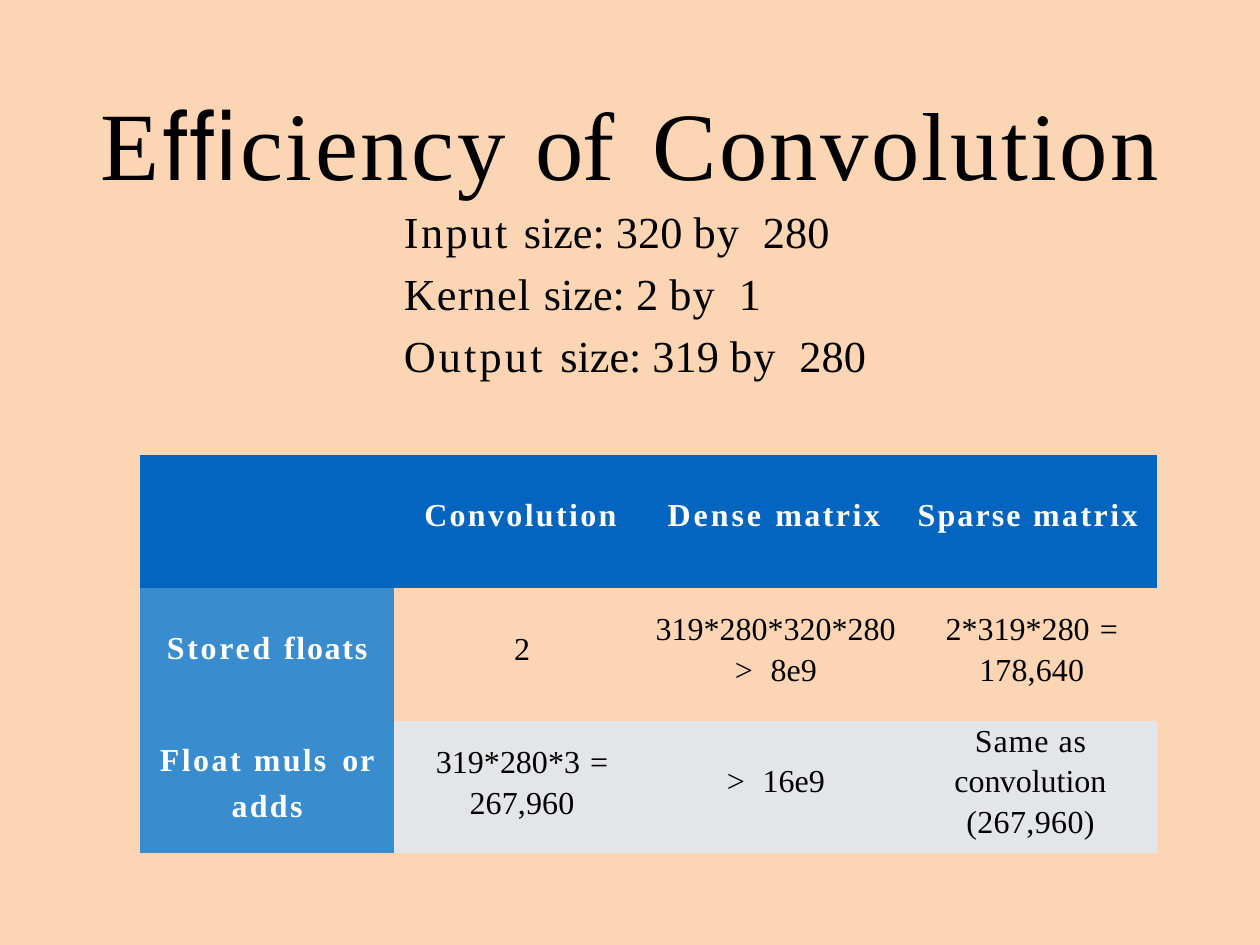
from pptx import Presentation
from pptx.dml.color import RGBColor as RGB
from pptx.enum.text import MSO_ANCHOR as ANCHOR, MSO_AUTO_SIZE as FIT, PP_ALIGN as ALIGN
from pptx.util import Inches, Pt

PEACH = RGB(0xFC, 0xD5, 0xB5)
BLACK = RGB(0, 0, 0)
WHITE = RGB(255, 255, 255)
NAVY = RGB(0x03, 0x65, 0xC0)
BLUE = RGB(0x39, 0x8C, 0xCE)
GREY = RGB(0xE3, 0xE5, 0xE8)
SERIF, SANS = "Times New Roman", "Arial"
NO_GRID = "{2D5ABB26-0587-4C30-8999-92F81FD0307C}"

deck = Presentation()
deck.slide_width, deck.slide_height = Inches(14.22), Inches(10.67)
X, Y = deck.slide_width / 100, deck.slide_height / 100  # one per cent of the slide


def area(left, top, width, height):
    return int(left * X), int(top * Y), int(width * X), int(height * Y)


def write(frame, lines, size, color=BLACK, bold=False, align=ALIGN.LEFT, gap=0, indent=0):
    """Fill a frame; each line is a list of (text, letter spacing[, font]) runs."""
    for i, line in enumerate(lines):
        para = frame.add_paragraph() if i else frame.paragraphs[0]
        para.alignment = align
        para.space_before = Pt(gap if i else 0)
        props = para._p.get_or_add_pPr()
        props.set("marL", str(Inches(indent)))
        props.set("indent", "0")
        for text, track, *face in line:
            run = para.add_run()
            run.text = text
            font = run.font
            font.name = face[0] if face else SERIF
            font.size, font.bold = Pt(size), bold
            font.color.rgb = color
            run._r.get_or_add_rPr().set("spc", str(round(track * 100)))


slide = deck.slides.add_slide(deck.slide_layouts[5])
slide.background.fill.solid()
slide.background.fill.fore_color.rgb = PEACH

# Title and sizes
title = slide.shapes.title
title.left, title.top, title.width, title.height = area(8, 8.8, 86, 12.5)
sizes = slide.shapes.add_textbox(*area(32.05, 20.6, 37, 19.8))
for box, top in ((title, 0.01), (sizes, 0.11)):
    frame = box.text_frame
    frame.word_wrap, frame.auto_size = True, FIT.NONE
    frame.vertical_anchor = ANCHOR.TOP
    frame.margin_left = frame.margin_right = frame.margin_bottom = 0
    frame.margin_top = Inches(top)

write(title.text_frame, [[("E", 2.2), ("ﬃ", 2.2, SANS), ("ciency ", 2.2),
                          ("of", -1.1), (" ", 11), ("Convolution", 2)]], 78.5)
write(sizes.text_frame, [
    [(name, track), (first, 0), ("by", 0.9), (" ", 9.5), (last, 0)]
    for name, track, first, last in (
        ("Input ", 2.1, "size: 320 ", "280"),
        ("Kernel ", 1, "size: 2 ", "1"),
        ("Output ", 2.6, "size: 319 ", "280"))
], 36, gap=7.2)

# Table grid: the last band is split in two for its row heading
grid = slide.shapes.add_table(4, 4, *area(11.1, 48.2, 80.7, 42.1)).table
grid._tbl.tblPr.find("{*}tableStyleId").text = NO_GRID
grid.first_row = grid.horz_banding = False
for col, share in zip(grid.columns, (20.2, 19.3, 21.4, 19.8)):
    col.width = int(share * X)
for row, share in zip(grid.rows, (14.05, 14.05, 7, 7)):
    row.height = int(share * Y)
grid.cell(0, 0).merge(grid.cell(0, 1))
for c in (1, 2, 3):
    grid.cell(2, c).merge(grid.cell(3, c))

# Cells: row, column, fill, top margin, indent, right margin, alignment, lines
MID, LEFT = ALIGN.CENTER, ALIGN.LEFT
cells = [
    (0, 0, NAVY, 0.48, 3.21, 0, LEFT, [[("Convolution", 1.9)]]),
    (0, 2, NAVY, 0.48, 0.34, 0, LEFT, [[("Dense ", 2.4), ("matrix", 2)]]),
    (0, 3, NAVY, 0.48, 0.12, 0, LEFT, [[("Sparse ", 1.7), ("matrix", 2)]]),
    (1, 0, BLUE, 0.48, 0, 0, MID, [[("Stored ", 2.2), ("floats", 1.4)]]),
    (1, 1, None, 0.49, 0.14, 0, MID, [[("2", 0)]]),
    (1, 2, None, 0.27, 0.08, 0, MID,
     [[("319*280*320*280", 0)], [("> ", 3.9), ("8e9", 0)]]),
    (1, 3, None, 0.27, 0, 0, MID,
     [[("2*319*280", 0), (" =", 1.6)], [("178,640", 0.1)]]),
    (2, 0, BLUE, 0.25, 0, 0, MID,
     [[("Float ", 2), ("muls", 1.8), (" ", 4.5), ("or", 1.4)]]),
    (2, 1, GREY, 0.27, 0.14, 0, MID,
     [[("319*280*3", 0), (" =", 1.6)], [("267,960", 0.1)]]),
    (2, 2, GREY, 0.49, 1.01, 0, LEFT, [[("> ", 3.9), ("16e9", 0)]]),
    (2, 3, GREY, 0.03, 0.49, 0.52, MID,
     [[("Same ", 0.7), ("as", 0.8)],
      [("co", 0), ("nv", -0.8), ("olution ", 0), ("(267,960)", 0.3)]]),
    (3, 0, BLUE, 0.02, 0, 0, MID, [[("adds", 1.9)]]),
]
for r, c, fill, top, indent, right, align, lines in cells:
    cell = grid.cell(r, c)
    cell.vertical_anchor = ANCHOR.TOP
    cell.margin_top, cell.margin_bottom = Inches(top), 0
    cell.margin_left, cell.margin_right = 0, Inches(right)
    if fill:
        cell.fill.solid()
        cell.fill.fore_color.rgb = fill
    else:
        cell.fill.background()
    head = fill in (NAVY, BLUE)
    write(cell.text_frame, lines, 26, WHITE if head else BLACK, head, align, 4.4, indent)

# Looser leading where the last cell wraps
wrap = grid.cell(2, 3).text_frame.paragraphs[1]
wrap.space_before, wrap.line_spacing = Pt(0), 1.15

deck.save("out.pptx")
